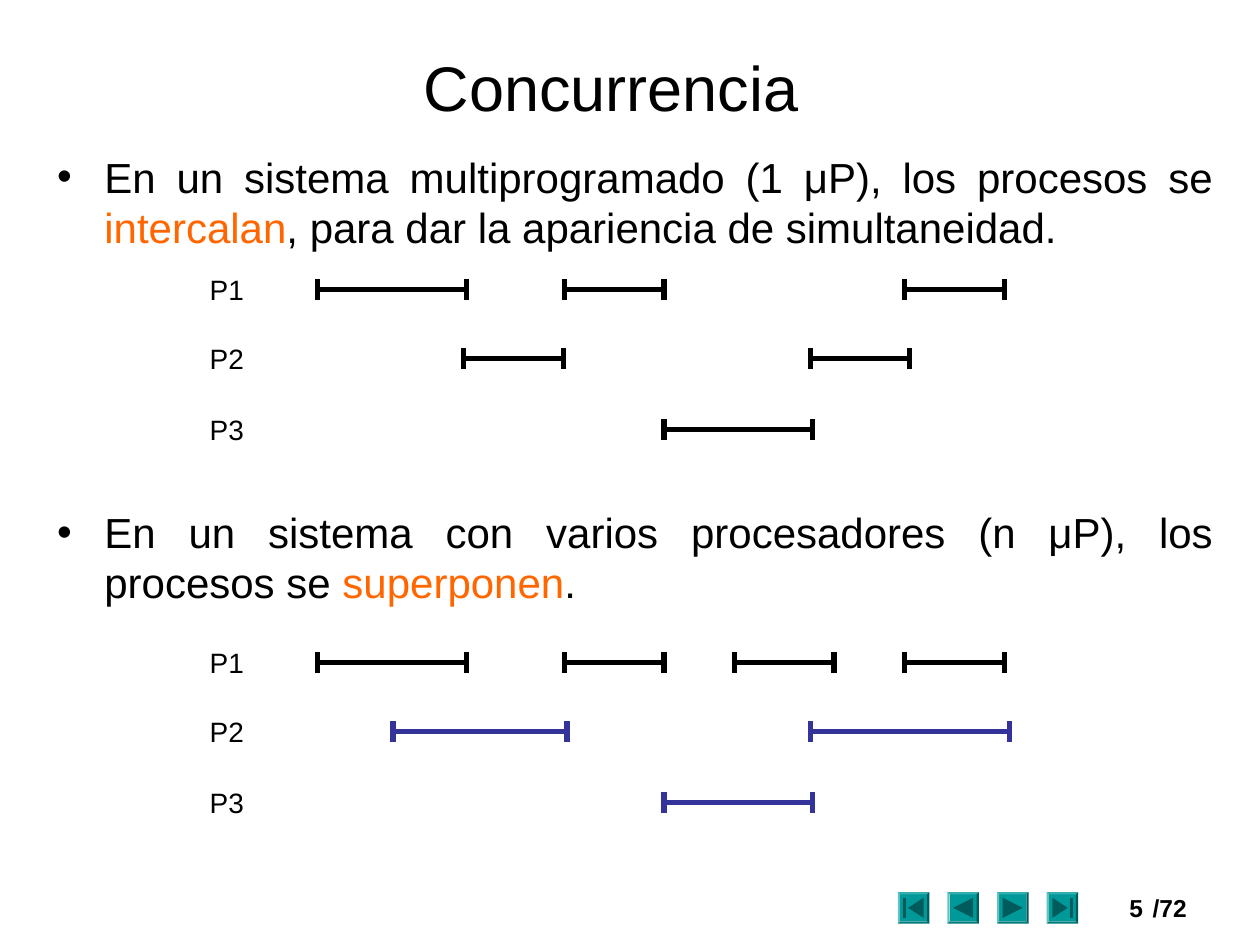
from lxml import etree
from pptx import Presentation
from pptx.dml.color import RGBColor
from pptx.enum.shapes import MSO_CONNECTOR, MSO_SHAPE
from pptx.enum.text import MSO_ANCHOR, PP_ALIGN
from pptx.oxml.ns import qn
from pptx.util import Inches, Pt

LINE, BEVEL = MSO_CONNECTOR.STRAIGHT, MSO_SHAPE.BEVEL
LEFT, RIGHT, MID, JUST = PP_ALIGN.LEFT, PP_ALIGN.RIGHT, PP_ALIGN.CENTER, PP_ALIGN.JUSTIFY
THEME = {
    "font": "Arial", "title": 36, "body": 24, "label": 16, "page": 14, "bar": 3,
    "ink": RGBColor.from_string("000000"), "mark": RGBColor.from_string("FF6600"),
    "blue": RGBColor.from_string("333399"), "teal": RGBColor.from_string("009999"),
    "icon": RGBColor.from_string("005C5C"),
}
COLS = 100  # square grid cells across the slide

deck = Presentation()
deck.slide_width, deck.slide_height = Inches(10), Inches(7.5)
CELL = deck.slide_width / COLS
slide = deck.slides.add_slide(deck.slide_layouts[6])
shapes = slide.shapes


def grid(*cells):
    return [round(n * CELL) for n in cells]


def write(area, paras, size, align=LEFT, pad=(1, 0.5), bold=False):
    """Add a text box; each paragraph is a list of (text, colour) runs."""
    frame = shapes.add_textbox(*grid(*area)).text_frame
    frame.word_wrap = True
    frame.margin_left, frame.margin_top = frame.margin_right, frame.margin_bottom = grid(*pad)
    for i, runs in enumerate(paras):
        para = frame.add_paragraph() if i else frame.paragraphs[0]
        para.alignment = align
        para.font.name, para.font.size = THEME["font"], Pt(THEME[size])
        para.font.bold = bold
        for text, tint in runs:
            run = para.add_run()
            run.text = text
            run.font.color.rgb = THEME[tint]
    return frame


# Title and body
title = write((3.5, 3.65, 90, 6.4), [[("Concurrencia", "ink")]], "title", MID, (0.2, 0.2))
title.vertical_anchor = MSO_ANCHOR.MIDDLE
body = write((3.55, 11.5, 93.7, 57.5), [
    [("En un sistema multiprogramado (1 μP), los procesos se ", "ink"),
     ("intercalan", "mark"), (", para dar la apariencia de simultaneidad.", "ink")],
    [("En un sistema con varios procesadores (n μP), los procesos se ", "ink"),
     ("superponen", "mark"), (".", "ink")],
], "body", JUST)
for para, gap in zip(body.paragraphs, (6, 145.5)):
    para.space_before = Pt(gap)
    props = para._p.get_or_add_pPr()
    indent = grid(3.75)[0]
    props.set("marL", str(indent))
    props.set("indent", str(-indent))
    fonts = props.find(qn("a:defRPr"))
    for tag, key, value in (("a:buFont", "typeface", THEME["font"]), ("a:buChar", "char", "•")):
        mark = etree.SubElement(props, qn(tag))
        mark.set(key, value)
        fonts.addprevious(mark)

# Timelines: top row, then for each process its colour and its spans
CHARTS = [
    (23, [("ink", [(25.2, 37), (44.8, 52.7), (71.8, 79.7)]),
          ("ink", [(36.8, 44.7), (64.3, 72.2)]),
          ("ink", [(52.7, 64.5)])]),
    (52.6, [("ink", [(25.2, 37), (44.8, 52.7), (58.3, 66.2), (71.8, 79.7)]),
            ("blue", [(31.2, 45), (64.3, 80.1)]),
            ("blue", [(52.7, 64.5)])]),
]
STEPS, TICK = (0, 5.45, 11.1), 0.83
for top, lanes in CHARTS:
    for num, (step, (tint, spans)) in enumerate(zip(STEPS, lanes), 1):
        row = top + step
        write((16.65, row - 1.35, 3, 2.7), [[(f"P{num}", "ink")]], "label", pad=(0, 0))
        for start, end in spans:
            for ends in ((start, row, end, row),
                         (start, row - TICK, start, row + TICK),
                         (end, row - TICK, end, row + TICK)):
                bar = shapes.add_connector(LINE, *grid(*ends))
                bar.line.color.rgb, bar.line.width = THEME[tint], Pt(THEME["bar"])
                etree.SubElement(bar._element.spPr, qn("a:effectLst"))

# Navigation buttons: icon outlines in shares of the button's side
SIDE, FIRST, PITCH, TOP = 2.5, 71.25, 3.94, 70.8
LOW, HIGH = 0.18, 0.82
BACK = [(LOW, 0.5), (HIGH, LOW), (HIGH, HIGH)]
START = [(0.33, 0.5), (HIGH, LOW), (HIGH, HIGH)]
STOP = [(LOW, LOW), (0.26, LOW), (0.26, HIGH), (LOW, HIGH)]
ICONS = [[START, STOP], [BACK]]
ICONS += [[[(1 - x, y) for x, y in part] for part in icon] for icon in ICONS[::-1]]
for i, icon in enumerate(ICONS):
    left = FIRST + i * PITCH
    key = shapes.add_shape(BEVEL, *grid(left, TOP, SIDE, SIDE))
    key.adjustments[0] = 0.07
    parts = [(key, "teal")]
    for part in icon:
        dots = [grid(left + x * SIDE, TOP + y * SIDE) for x, y in part]
        pen = shapes.build_freeform(*dots[0])
        pen.add_line_segments(dots[1:], close=True)
        parts.append((pen.convert_to_shape(), "icon"))
    for shape, tint in parts:
        shape.shadow.inherit = False
        shape.fill.solid()
        shape.fill.fore_color.rgb = THEME[tint]
        shape.line.fill.background()

# Page number
write((86.3, 70.4, 5.4, 3.3), [[("5", "ink")]], "page", RIGHT, bold=True)
write((90.5, 70.4, 5.2, 3.3), [[("/72", "ink")]], "page", bold=True)

deck.save("out.pptx")
